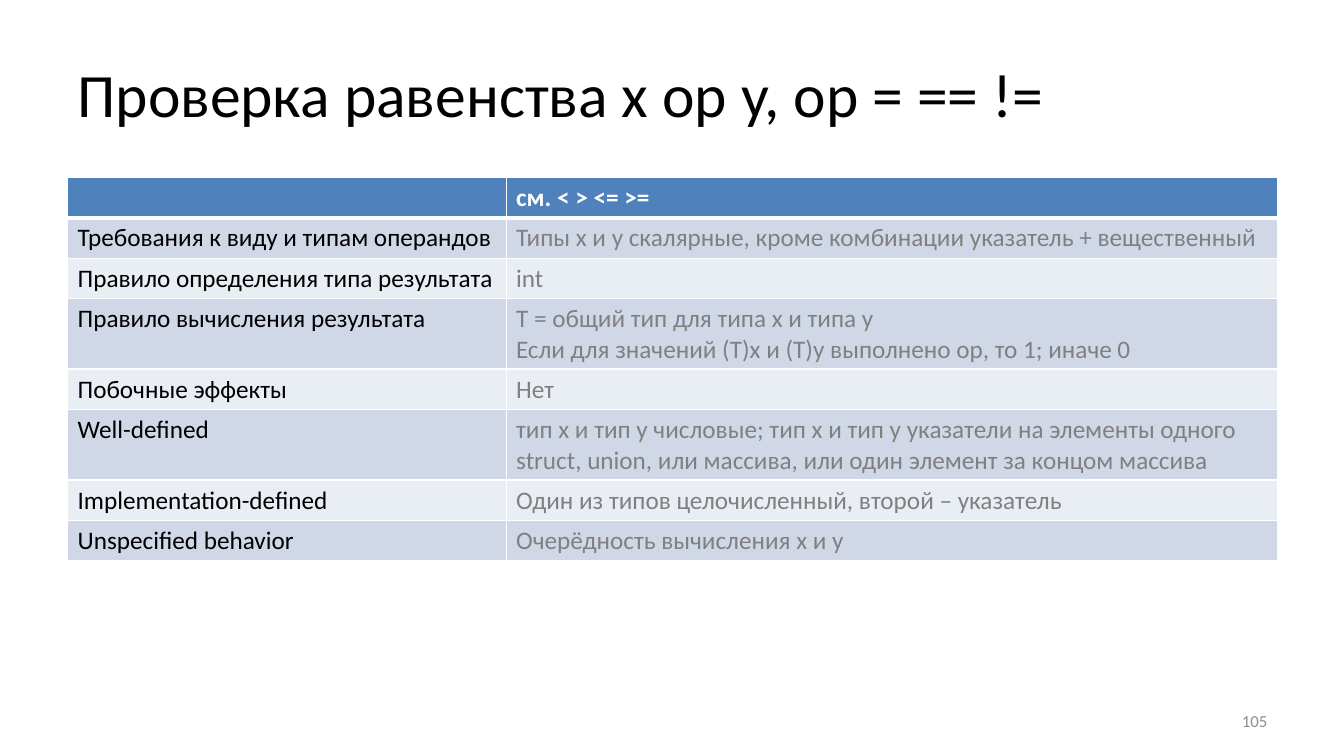
import pptx
import pptx.dml.color
import pptx.enum.text
import pptx.oxml
import pptx.oxml.ns
import pptx.util

Inches = pptx.util.Inches
ANCHOR = pptx.enum.text.MSO_ANCHOR
ALIGN = pptx.enum.text.PP_ALIGN

HEAD = ("", "см. < > <= >=")
RULES = (
    ("Требования к виду и типам операндов",
     "Типы х и у скалярные, кроме комбинации указатель + вещественный"),
    ("Правило определения типа результата", "int"),
    ("Правило вычисления результата",
     "Т = общий тип для типа х и типа у\n"
     "Если для значений (Т)х и (Т)у выполнено ор, то 1; иначе 0"),
    ("Побочные эффекты", "Нет"),
    ("Well-defined",
     "тип х и тип у числовые; тип х и тип у указатели на элементы одного "
     "struct, union, или массива, или один элемент за концом массива"),
    ("Implementation-defined", "Один из типов целочисленный, второй – указатель"),
    ("Unspecified behavior", "Очерёдность вычисления х и у"),
)
TALL = (3, 5)


def color(code):
    return pptx.dml.color.RGBColor.from_string(code)


def write(frame, text, size=18, ink="000000", bold=False, align=ALIGN.LEFT):
    frame.word_wrap = True
    frame.text = text
    for para in frame.paragraphs:
        para.alignment = align
        font = para.font
        font.name = "Calibri"
        font.size = pptx.util.Pt(size)
        font.bold = bold
        font.color.rgb = color(ink)
        for run in para.runs:
            run.font.name = "Calibri"
            run.font.size = font.size
            run.font.bold = bold
            run.font.color.rgb = color(ink)


def label(slide, area, text, **style):
    box = slide.shapes.add_textbox(*map(Inches, area))
    box.text_frame.vertical_anchor = ANCHOR.MIDDLE
    write(box.text_frame, text, **style)


def border(cell, **sides):
    props = cell._tc.get_or_add_tcPr()
    for place, (side, width) in enumerate(sides.items()):
        props.insert(place, pptx.oxml.parse_xml(
            f'<a:ln{side} {pptx.oxml.ns.nsdecls("a")} w="{pptx.util.Pt(width)}">'
            f'<a:solidFill><a:srgbClr val="FFFFFF"/></a:solidFill></a:ln{side}>'))


def grid(slide, area, widths):
    rows = (HEAD,) + RULES
    frame = slide.shapes.add_table(len(rows), len(widths), *map(Inches, area))
    table = frame.table
    for column, width in zip(table.columns, widths):
        column.width = Inches(width)
    for r, row in enumerate(rows):
        table.rows[r].height = Inches(0.7 if r in TALL else 0.4)
        for c, text in enumerate(row):
            cell = table.cell(r, c)
            cell.fill.solid()
            if r == 0:
                fill, ink = "4F81BD", "FFFFFF"
            else:
                fill = "D0D8E8" if r % 2 else "E9EDF4"
                ink = "808080" if c else "000000"
            cell.fill.fore_color.rgb = color(fill)
            write(cell.text_frame, text, ink=ink, bold=r == 0)
            border(cell, L=1, R=1, T=3 if r == 1 else 1, B=1 if r else 3)


def main():
    deck = pptx.Presentation()
    deck.slide_width = Inches(13.33)
    deck.slide_height = Inches(7.5)
    slide = deck.slides.add_slide(deck.slide_layouts[6])
    label(slide, (0.67, 0.3, 12, 1.25),
          "Проверка равенства x op y, op = == !=", size=44)
    grid(slide, (0.67, 1.76, 12, 3.8), (4.35, 7.65))
    label(slide, (9.56, 6.95, 3.11, 0.4), "105",
          size=12, ink="8C8C8C", align=ALIGN.RIGHT)
    deck.save("out.pptx")


if __name__ == "__main__":
    main()
